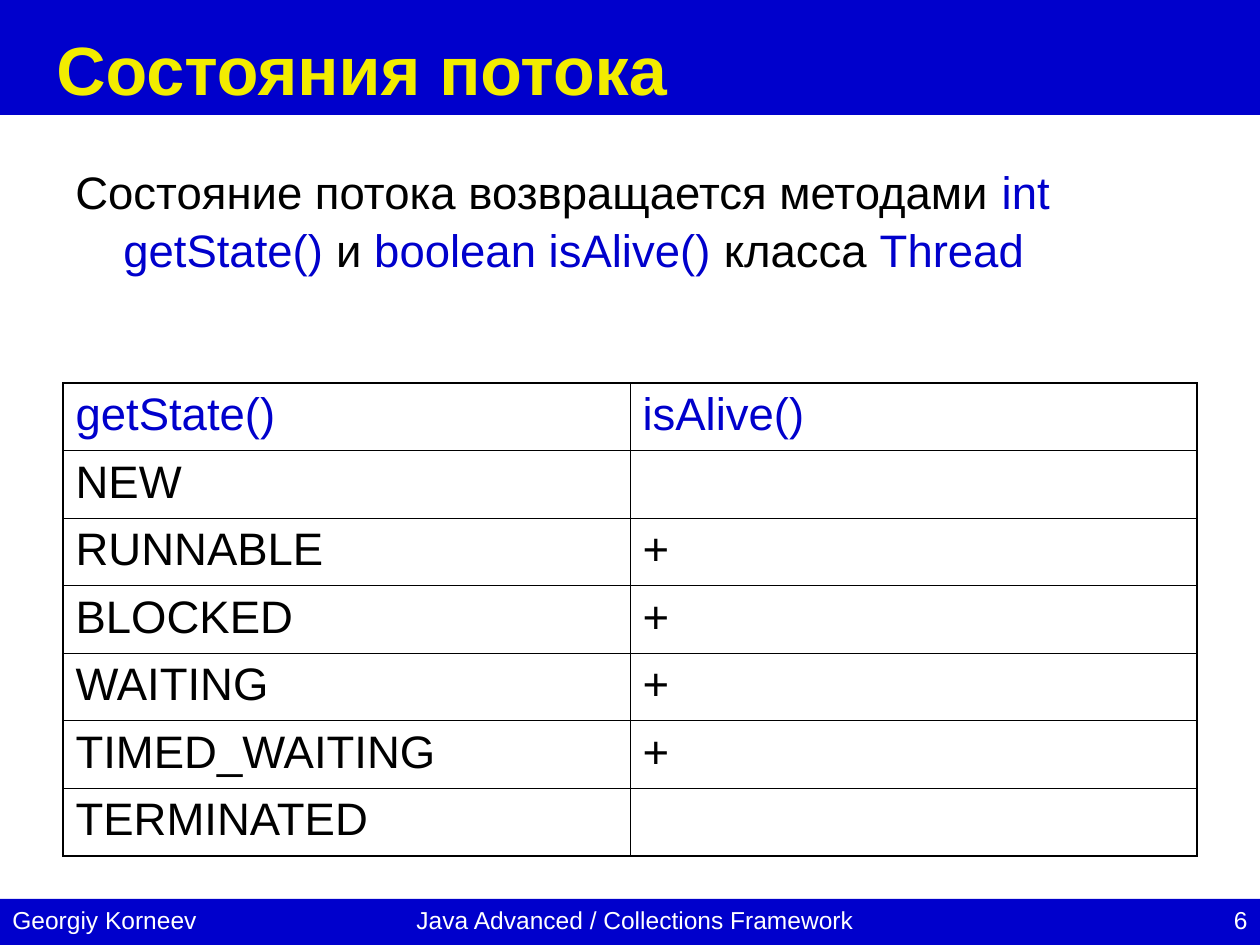
from pptx import Presentation
from pptx.dml.color import RGBColor
from pptx.enum.shapes import MSO_SHAPE
from pptx.enum.text import PP_ALIGN
from pptx.oxml.ns import qn
from pptx.util import Pt
from lxml import etree

RECT = MSO_SHAPE.RECTANGLE
LEFT, MID, RIGHT = PP_ALIGN.LEFT, PP_ALIGN.CENTER, PP_ALIGN.RIGHT
PX = 914400 // 126
WIDTH, HEIGHT = 1260, 945
COLORS = {"blue": "0000CC", "yellow": "F2EC00", "black": "000000", "white": "FFFFFF"}

# Content
TITLE = "Состояния потока"
INTRO = [
    ("Состояние потока возвращается методами ", "black"),
    ("int getState() ", "blue"),
    ("и ", "black"),
    ("boolean isAlive() ", "blue"),
    ("класса ", "black"),
    ("Thread", "blue"),
]
STATES = [
    ("getState()", "isAlive()"),
    ("NEW", ""),
    ("RUNNABLE", "+"),
    ("BLOCKED", "+"),
    ("WAITING", "+"),
    ("TIMED_WAITING", "+"),
    ("TERMINATED", ""),
]
BARS = [(0, 115), (899, 46)]  # top, height
FOOTER = [  # text, left, width, alignment
    ("6", 1147, 113, RIGHT),
    ("Georgiy Korneev", 0, 507, LEFT),
    ("Java Advanced / Collections Framework", 64, 1142, MID),
]
TABLE = (63, 383, 1134, 473)
THIN, THICK = 0.45, 1.08


def px(value):
    return round(value * PX)


def color(name):
    return RGBColor.from_string(COLORS[name])


def write(frame, runs, size=26, bold=False, align=LEFT, space=None):
    frame.word_wrap = True
    para = frame.paragraphs[0]
    para.alignment = align
    para.line_spacing = space
    for text, tone in runs:
        run = para.add_run()
        run.text = text
        run.font.name = "Arial"
        run.font.size = Pt(size)
        run.font.bold = bold
        run.font.color.rgb = color(tone)
    return para


def add_box(slide, box):
    return slide.shapes.add_textbox(*map(px, box)).text_frame


def add_edge(cell, side, width):
    props = cell._tc.get_or_add_tcPr()
    line = etree.SubElement(props, qn("a:ln" + side), w=str(int(Pt(width))))
    fill = etree.SubElement(line, qn("a:solidFill"))
    etree.SubElement(fill, qn("a:srgbClr"), val=COLORS["black"])


def add_states(slide):
    count, wide = len(STATES), len(STATES[0])
    table = slide.shapes.add_table(count, wide, *map(px, TABLE)).table
    table.first_row = table.horz_banding = False
    for col in table.columns:
        col.width = px(TABLE[2] / wide)
    for i, texts in enumerate(STATES):
        table.rows[i].height = px(TABLE[3] / count)
        for j, text in enumerate(texts):
            cell = table.cell(i, j)
            outer = {"L": j == 0, "R": j == wide - 1, "T": i == 0, "B": i == count - 1}
            for side, edge in outer.items():
                add_edge(cell, side, THICK if edge else THIN)
            cell.fill.background()
            if text:
                write(cell.text_frame, [(text, "black" if i else "blue")])


def main():
    deck = Presentation()
    deck.slide_width, deck.slide_height = px(WIDTH), px(HEIGHT)
    slide = deck.slides.add_slide(deck.slide_layouts[6])

    # Header and footer bars
    for top, high in BARS:
        bar = slide.shapes.add_shape(RECT, 0, px(top), px(WIDTH), px(high))
        bar.shadow.inherit = False
        bar.fill.solid()
        bar.fill.fore_color.rgb = color("blue")
        bar.line.fill.background()
    top, high = BARS[-1]
    for text, left, wide, align in FOOTER:
        write(add_box(slide, (left, top, wide, high)), [(text, "white")], size=14, align=align)

    # Title
    frame = add_box(slide, (44, 16, 1171, 89))
    frame.margin_top, frame.margin_bottom = px(11), 0
    write(frame, [(TITLE, "yellow")], size=39, bold=True)

    # Introduction with a hanging indent
    para = write(add_box(slide, (63, 155, 1134, 228)), INTRO, space=1.06)
    props = para._p.get_or_add_pPr()
    props.set("marL", str(px(48)))
    props.set("indent", str(px(-48)))

    add_states(slide)
    deck.save("out.pptx")


if __name__ == "__main__":
    main()
